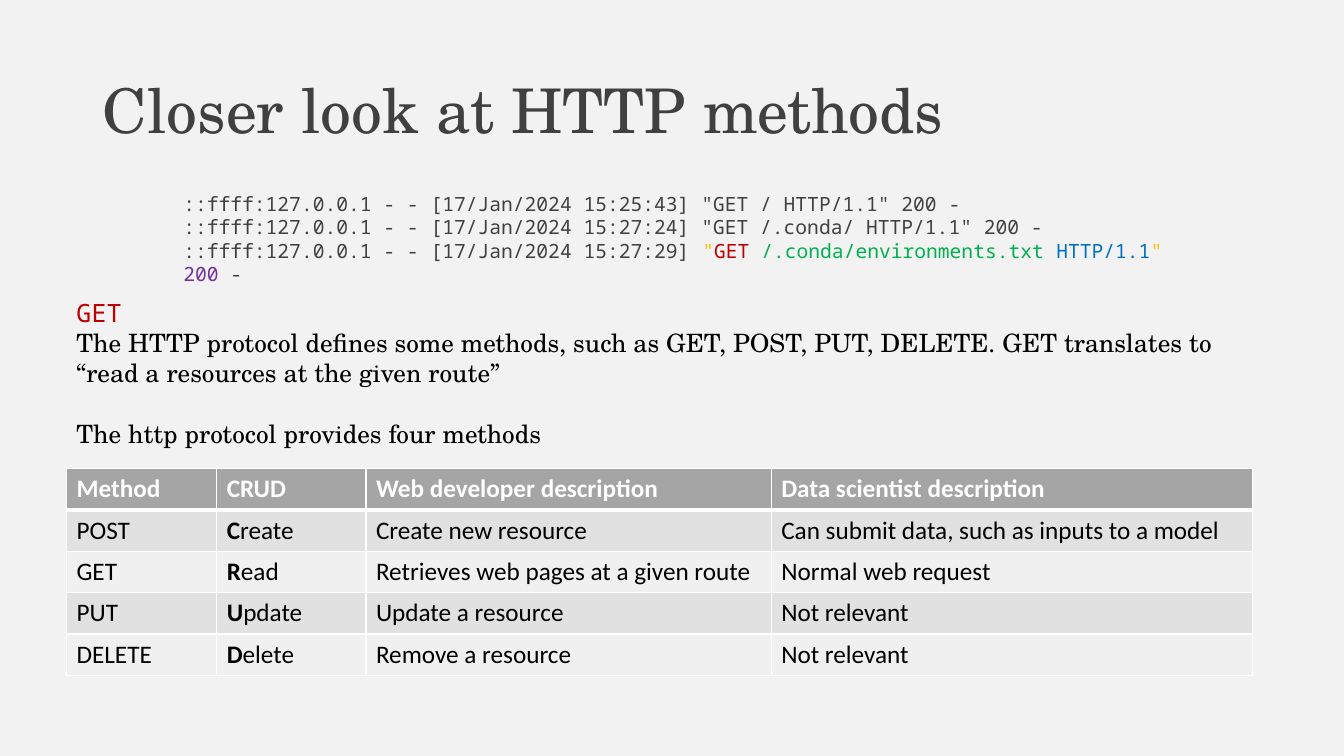
from dataclasses import dataclass

from lxml import etree
from pptx import Presentation
from pptx.dml.color import RGBColor
from pptx.enum.text import MSO_ANCHOR, MSO_AUTO_SIZE, PP_ALIGN
from pptx.oxml.ns import qn
from pptx.util import Inches, Pt

LEFT = PP_ALIGN.LEFT
MIDDLE = MSO_ANCHOR.MIDDLE
NO_AUTOFIT = MSO_AUTO_SIZE.NONE


@dataclass(frozen=True)
class Theme:
    background: str = "F2F2F2"
    gray: str = "404040"
    black: str = "000000"
    white: str = "FFFFFF"
    quote: str = "FFC000"
    method: str = "C00000"
    route: str = "00B050"
    protocol: str = "0070C0"
    status: str = "7030A0"
    header_fill: str = "A5A5A5"
    row_fills: tuple = ("E1E1E1", "F0F0F0")
    serif: str = "TeX Gyre Schola"
    mono: str = "Noto Sans Mono"
    sans: str = "Calibri"
    title_size: int = 44
    body_size: int = 18
    log_size: int = 14


THEME = Theme()

LOG_LINES = [
    [('::ffff:127.0.0.1 - - [17/Jan/2024 15:25:43] "GET / HTTP/1.1" 200 -', THEME.gray)],
    [('::ffff:127.0.0.1 - - [17/Jan/2024 15:27:24] "GET /.conda/ HTTP/1.1" 200 -', THEME.gray)],
    [
        ("::ffff:127.0.0.1 - - [17/Jan/2024 15:27:29] ", THEME.gray),
        ('"', THEME.quote),
        ("GET ", THEME.method),
        ("/.conda/environments.txt ", THEME.route),
        ("HTTP/1.1", THEME.protocol),
        ('" ', THEME.quote),
        ("200", THEME.status),
        (" -", THEME.gray),
    ],
]

EXPLANATION = [
    ("GET", THEME.mono, THEME.method, 0),
    ("The HTTP protocol defines some methods, such as GET, POST, PUT, DELETE. "
     "GET translates to “read a resources at the given route”", THEME.serif, THEME.black, 0),
    ("The http protocol provides four methods", THEME.serif, THEME.black, 22),
]

METHODS = [
    ("Method", "CRUD", "Web developer description", "Data scientist description"),
    ("POST", "Create", "Create new resource", "Can submit data, such as inputs to a model"),
    ("GET", "Read", "Retrieves web pages at a given route", "Normal web request"),
    ("PUT", "Update", "Update a resource", "Not relevant"),
    ("DELETE", "Delete", "Remove a resource", "Not relevant"),
]
CRUD_COLUMN = 1
COLUMN_WIDTHS = (1.49, 1.48, 4.02, 4.77)
ROW_HEIGHT = 0.41


def set_font(font, name, size, color):
    font.name = name
    font.size = Pt(size)
    font.color.rgb = RGBColor.from_string(color)


def add_title(s, text):
    title = s.shapes.title
    title.left, title.top = Inches(0.92), Inches(0.4)
    title.width, title.height = Inches(11.5), Inches(1.45)
    tf = title.text_frame
    tf.auto_size = NO_AUTOFIT
    tf.vertical_anchor = MIDDLE
    tf.text = text
    p = tf.paragraphs[0]
    p.alignment = LEFT
    p.line_spacing = 0.9
    set_font(p.font, THEME.serif, THEME.title_size, THEME.gray)


def add_text_box(s, left, top, width, height):
    box = s.shapes.add_textbox(Inches(left), Inches(top), Inches(width), Inches(height))
    tf = box.text_frame
    tf.word_wrap = True
    return tf


def next_paragraph(tf, index):
    return tf.add_paragraph() if index else tf.paragraphs[0]


def add_log(s):
    tf = add_text_box(s, 1.72, 1.85, 10.17, 0.81)
    for i, line in enumerate(LOG_LINES):
        p = next_paragraph(tf, i)
        set_font(p.font, THEME.mono, THEME.log_size, THEME.gray)
        for text, color in line:
            r = p.add_run()
            r.text = text
            r.font.color.rgb = RGBColor.from_string(color)


def add_explanation(s):
    tf = add_text_box(s, 0.66, 2.9, 12.02, 1.92)
    for i, (text, font_name, color, space_before) in enumerate(EXPLANATION):
        p = next_paragraph(tf, i)
        p.text = text
        p.space_before = Pt(space_before)
        set_font(p.font, font_name, THEME.body_size, color)


def set_borders(cell, bottom_width):
    """Draw white cell edges; they must precede the fill in the cell properties."""
    tc_pr = cell._tc.get_or_add_tcPr()
    edges = {"a:lnL": 1, "a:lnR": 1, "a:lnT": 1, "a:lnB": bottom_width}
    for i, (tag, width) in enumerate(edges.items()):
        ln = etree.Element(qn(tag), w=str(Pt(width)))
        fill = etree.SubElement(ln, qn("a:solidFill"))
        etree.SubElement(fill, qn("a:srgbClr"), val=THEME.white)
        tc_pr.insert(i, ln)


def fill_cell(cell, parts, color, fill, bottom_width):
    """Write (text, bold) parts into a cell and format it."""
    cell.fill.solid()
    cell.fill.fore_color.rgb = RGBColor.from_string(fill)
    set_borders(cell, bottom_width)
    p = cell.text_frame.paragraphs[0]
    set_font(p.font, THEME.sans, THEME.body_size, color)
    for text, bold in parts:
        r = p.add_run()
        r.text = text
        r.font.bold = bold
        set_font(r.font, THEME.sans, THEME.body_size, color)


def add_methods_table(s):
    rows, cols = len(METHODS), len(COLUMN_WIDTHS)
    frame = s.shapes.add_table(rows, cols, Inches(0.66), Inches(4.65),
                               Inches(sum(COLUMN_WIDTHS)), Inches(rows * ROW_HEIGHT))
    table = frame.table
    for column, width in zip(table.columns, COLUMN_WIDTHS):
        column.width = Inches(width)
    for i, values in enumerate(METHODS):
        table.rows[i].height = Inches(ROW_HEIGHT)
        header = i == 0
        color = THEME.white if header else THEME.black
        fill = THEME.header_fill if header else THEME.row_fills[(i - 1) % 2]
        for j, text in enumerate(values):
            if j == CRUD_COLUMN and not header:
                parts = [(text[0], True), (text[1:], False)]
            else:
                parts = [(text, header)]
            fill_cell(table.cell(i, j), parts, color, fill, 3 if header else 1)


def main():
    prs = Presentation()
    prs.slide_width, prs.slide_height = Inches(13.33), Inches(7.5)
    s = prs.slides.add_slide(prs.slide_layouts.get_by_name("Title Only"))
    s.background.fill.solid()
    s.background.fill.fore_color.rgb = RGBColor.from_string(THEME.background)
    add_title(s, "Closer look at HTTP methods")
    add_log(s)
    add_explanation(s)
    add_methods_table(s)
    prs.save("out.pptx")


if __name__ == "__main__":
    main()
